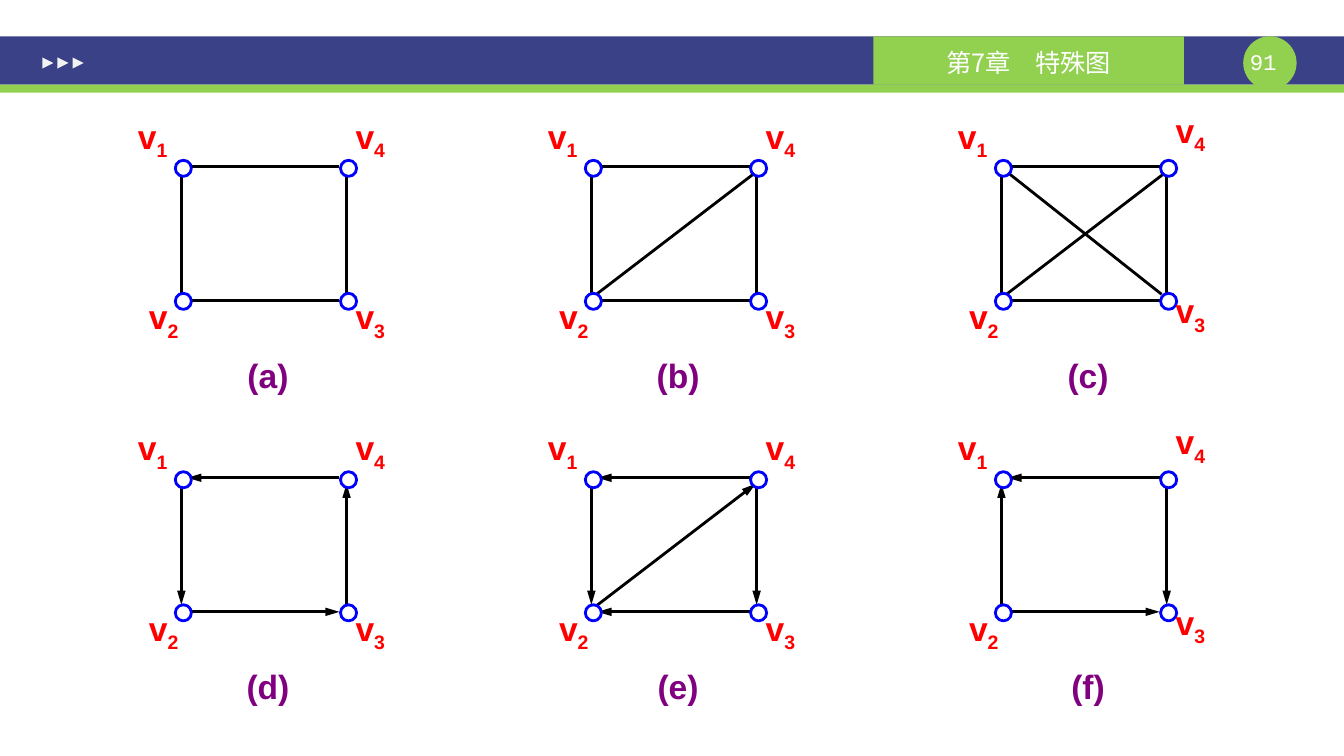
from dataclasses import dataclass

import lxml.etree
import pptx
import pptx.dml.color
import pptx.enum.shapes
import pptx.enum.text
import pptx.oxml.ns
import pptx.util

Inches = pptx.util.Inches
SHAPES = pptx.enum.shapes.MSO_SHAPE
ANCHORS = pptx.enum.text.MSO_ANCHOR
COLORS = {
    "navy": "3A4187",
    "green": "92D050",
    "white": "FFFFFF",
    "marker": "F2F2F2",
    "edge": "000000",
    "vertex": "0000FF",
    "label": "FF0000",
    "caption": "800080",
}
COLUMN_LEFT, COLUMN_STEP = 1.74, 4.07
ROW_TOP, ROW_STEP = 1.59, 3.09
VERTEX_SIZE = 0.16
VERTICES = {"1": (0, 0), "2": (0, 1.32), "3": (1.64, 1.32), "4": (1.64, 0)}
LABELS = {"1": (-0.43, -0.44), "2": (-0.32, 1.35), "3": (1.73, 1.35), "4": (1.73, -0.44)}
SEGMENTS = {
    "14": ((0.12, 0.06), (1.63, 0.06)),
    "12": ((0.06, 0.12), (0.06, 1.32)),
    "23": ((0.12, 1.39), (1.63, 1.39)),
    "43": ((1.7, 0.12), (1.7, 1.32)),
    "42": ((1.69, 0.12), (0.11, 1.33)),
    "13": ((0.12, 0.12), (1.65, 1.33)),
}


@dataclass(frozen=True)
class Graph:
    name: str
    column: int
    row: int
    edges: str
    directed: bool = False
    right_label_shift: float = 0


GRAPHS = [
    Graph("a", 0, 0, "14 12 23 43"),
    Graph("b", 1, 0, "14 12 23 43 42"),
    Graph("c", 2, 0, "14 12 23 43 42 13", right_label_shift=-0.06),
    Graph("d", 0, 1, "41 12 23 34", directed=True),
    Graph("e", 1, 1, "41 12 32 43 24", directed=True),
    Graph("f", 2, 1, "41 21 23 43", directed=True, right_label_shift=-0.06),
]


def rgb(name: str) -> pptx.dml.color.RGBColor:
    return pptx.dml.color.RGBColor.from_string(COLORS[name])


def write_text(shape, text: str, *, size: float, font: str, color: str, bold: bool = False,
               subscript: str = "", anchor=ANCHORS.TOP, insets=(0, 0, 0, 0)) -> None:
    frame = shape.text_frame
    frame.word_wrap = True
    frame.vertical_anchor = anchor
    frame.margin_left, frame.margin_top, frame.margin_right, frame.margin_bottom = map(Inches, insets)
    paragraph = frame.paragraphs[0]
    paragraph.alignment = pptx.enum.text.PP_ALIGN.CENTER
    for content, baseline in ((text, 0), (subscript, -25000)):
        if not content:
            continue
        run = paragraph.add_run()
        run.text = content
        run.font.size = pptx.util.Pt(size)
        run.font.name = font
        run.font.bold = bold
        run.font.color.rgb = rgb(color)
        properties = run.font._element
        lxml.etree.SubElement(properties, pptx.oxml.ns.qn("a:ea"), typeface=font)
        if baseline:
            properties.set("baseline", str(baseline))


def add_text(slide, left: float, top: float, width: float, height: float, text: str, **text_format) -> None:
    box = slide.shapes.add_textbox(Inches(left), Inches(top), Inches(width), Inches(height))
    write_text(box, text, **text_format)


def add_filled(slide, kind, left: float, top: float, width: float, height: float,
               fill: str, outline: str = ""):
    shape = slide.shapes.add_shape(kind, Inches(left), Inches(top), Inches(width), Inches(height))
    shape.shadow.inherit = False
    shape.fill.solid()
    shape.fill.fore_color.rgb = rgb(fill)
    if outline:
        shape.line.color.rgb = rgb(outline)
        shape.line.width = pptx.util.Pt(2)
    else:
        shape.line.fill.background()
    return shape


def add_edge(slide, left: float, top: float, edge: str, directed: bool) -> None:
    start, end = SEGMENTS[edge] if edge in SEGMENTS else reversed(SEGMENTS[edge[::-1]])
    connector = slide.shapes.add_connector(
        pptx.enum.shapes.MSO_CONNECTOR.STRAIGHT,
        Inches(left + start[0]), Inches(top + start[1]),
        Inches(left + end[0]), Inches(top + end[1]))
    connector.line.color.rgb = rgb("edge")
    connector.line.width = pptx.util.Pt(2)
    if directed:
        lxml.etree.SubElement(connector.line._get_or_add_ln(), pptx.oxml.ns.qn("a:tailEnd"),
                              type="triangle", w="med", len="lg")
    lxml.etree.SubElement(connector._element.spPr, pptx.oxml.ns.qn("a:effectLst"))


def draw_header(slide) -> None:
    add_filled(slide, SHAPES.RECTANGLE, 0, 0.36, 13.34, 0.48, "navy")
    add_filled(slide, SHAPES.RECTANGLE, 0, 0.84, 13.34, 0.08, "green")
    add_filled(slide, SHAPES.OVAL, 12.34, 0.36, 0.53, 0.53, "green")
    add_text(slide, 12.34, 0.48, 0.53, 0.27, "91 ", size=16, font="Courier New", color="white")
    title = slide.shapes.title
    title.left, title.top, title.width, title.height = map(Inches, (8.67, 0.36, 3.08, 0.48))
    title.fill.solid()
    title.fill.fore_color.rgb = rgb("green")
    write_text(title, "第7章　特殊图", size=18, font="Noto Sans CJK SC", color="white",
               anchor=ANCHORS.MIDDLE, insets=(0.1, 0.04, 0.1, 0))
    slide.shapes._spTree.append(title._element)
    for index in range(3):
        marker = add_filled(slide, SHAPES.ISOSCELES_TRIANGLE, 0.42 + 0.15 * index, 0.57, 0.11, 0.11, "marker")
        marker.rotation = 90


def draw_graph(slide, graph: Graph) -> None:
    left = COLUMN_LEFT + COLUMN_STEP * graph.column
    top = ROW_TOP + ROW_STEP * graph.row
    for edge in graph.edges.split():
        add_edge(slide, left, top, edge, graph.directed)
    for vertex, (x, y) in VERTICES.items():
        add_filled(slide, SHAPES.OVAL, left + x, top + y, VERTEX_SIZE, VERTEX_SIZE, "white", "vertex")
        label_x, label_y = LABELS[vertex]
        shift = graph.right_label_shift if vertex in "34" else 0
        add_text(slide, left + label_x, top + label_y + shift, 0.41, 0.4, "v", subscript=vertex,
                 size=24, font="Arial", color="label", bold=True)
    add_text(slide, left + 0.58, top + 1.93, 0.68, 0.4, f"({graph.name})",
             size=24, font="Arial", color="caption", bold=True)


def main() -> None:
    presentation = pptx.Presentation()
    presentation.slide_width = Inches(13.34)
    presentation.slide_height = Inches(7.5)
    slide = presentation.slides.add_slide(presentation.slide_layouts.get_by_name("Title Only"))
    draw_header(slide)
    for graph in GRAPHS:
        draw_graph(slide, graph)
    presentation.save("out.pptx")


if __name__ == "__main__":
    main()
